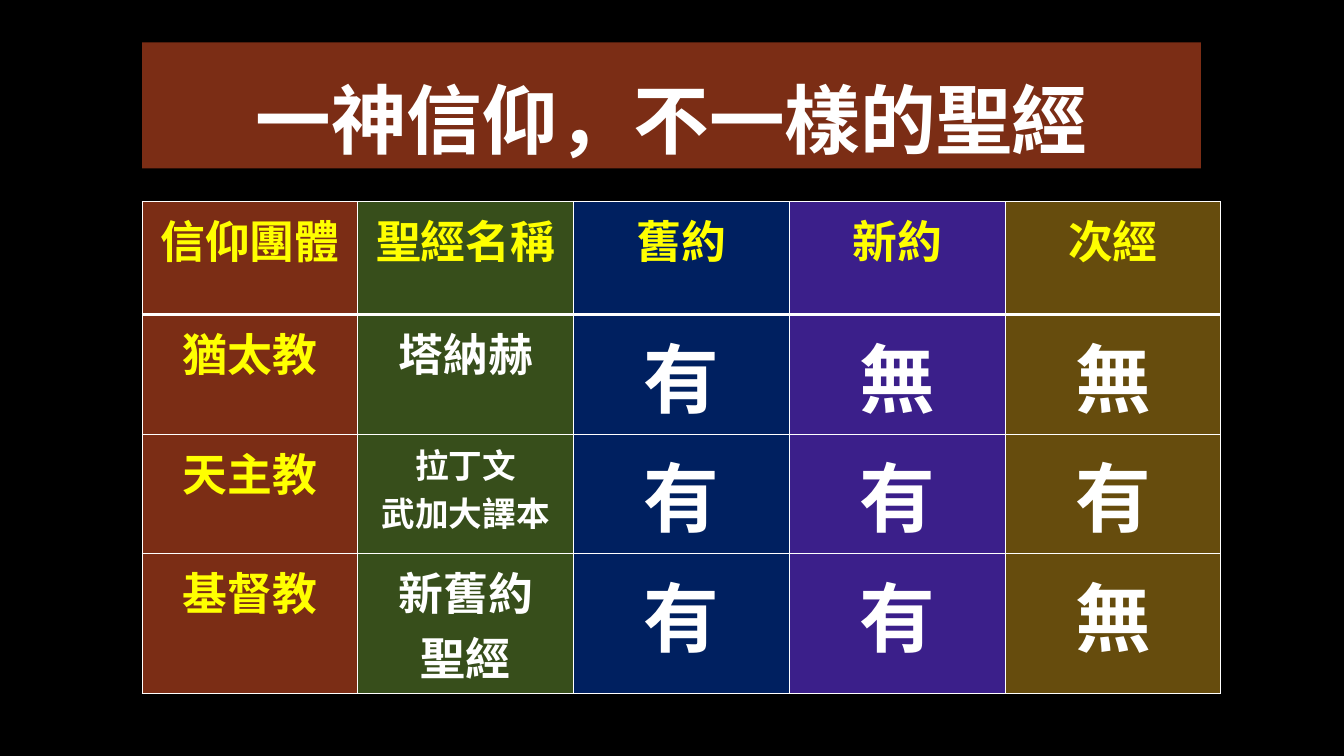
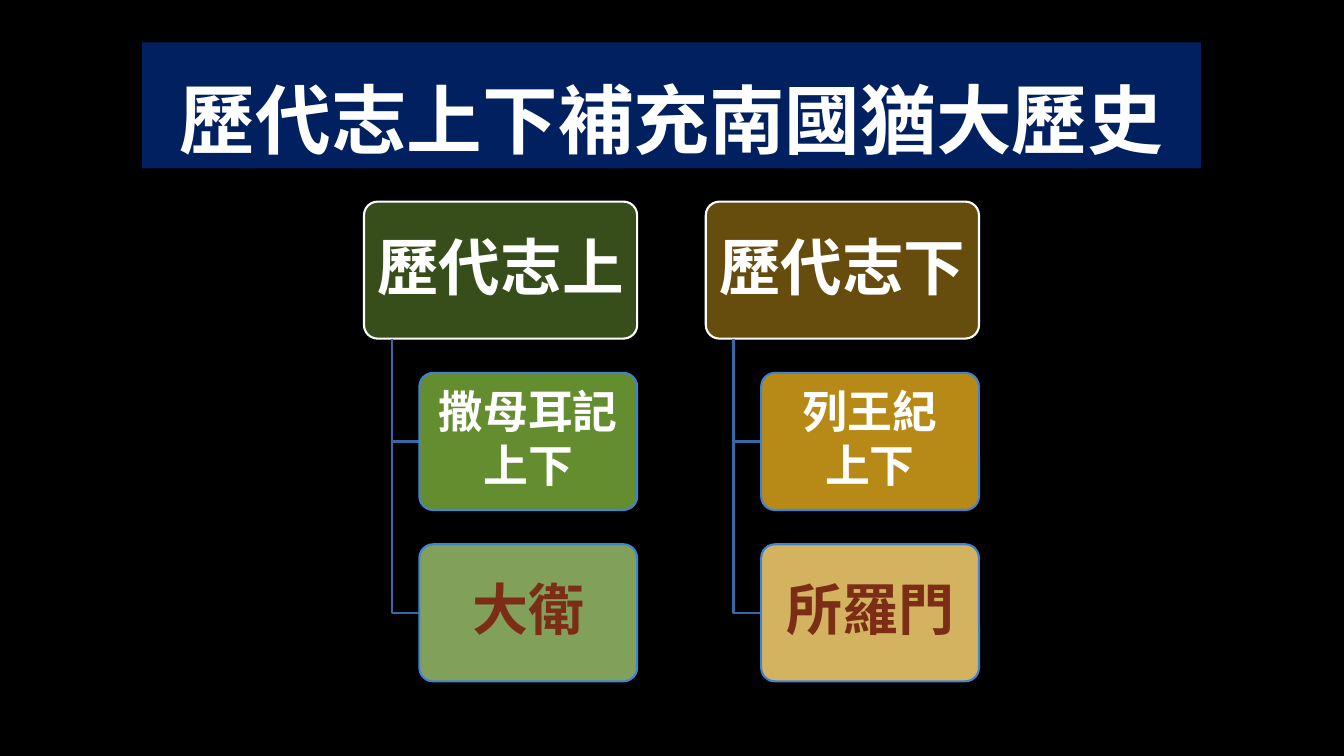
from dataclasses import dataclass

from lxml import etree
from pptx import Presentation
from pptx import util as u
from pptx.dml.color import RGBColor
from pptx.enum import shapes, text
from pptx.oxml import ns


@dataclass(frozen=True)
class Theme:
    black: str = "000000"
    white: str = "FFFFFF"
    yellow: str = "FFFF00"
    rust: str = "7B2D15"
    green: str = "374E1B"
    navy: str = "002060"
    purple: str = "3B1F8A"
    brown: str = "664C0D"
    leaf: str = "6E9D35"
    sage: str = "90B365"
    amber: str = "CB991B"
    sand: str = "EBC76B"
    edge: str = "4283D2"
    elbow: str = "3569A8"
    cjk: str = "Noto Sans CJK TC"
    table_font: str = "Times New Roman"
    box_font: str = "Cambria"
    title: int = 54
    head: int = 44
    name: int = 40
    body: int = 32
    small: int = 24


T = Theme()
rgb = RGBColor.from_string


def write(tf, content, size, color, font, **para):
    tf.text = content
    for p in tf.paragraphs:
        for key, value in {"alignment": text.PP_ALIGN.CENTER, **para}.items():
            setattr(p, key, value)
        for r in p.runs:
            for key, value in {"size": u.Pt(size), "bold": True, "name": font}.items():
                setattr(r.font, key, value)
            r.font.color.rgb = rgb(color)
            etree.SubElement(r._r.get_or_add_rPr(), ns.qn("a:ea"), typeface=T.cjk)


def paint(sp, fill, line, alpha=100):
    sp.shadow.inherit = False
    if fill:
        sp.fill.solid()
        sp.fill.fore_color.rgb = rgb(fill)
        if alpha < 100:
            clr = sp._element.spPr.find(".//" + ns.qn("a:srgbClr"))
            etree.SubElement(clr, ns.qn("a:alpha"), val=str(alpha * 1000))
    else:
        sp.fill.background()
    sp.line.color.rgb = rgb(line)
    sp.line.width = u.Pt(1.5)


prs = Presentation()
prs.slide_width, prs.slide_height = u.Inches(13.33), u.Inches(7.5)
prs.slide_master.background.fill.solid()
prs.slide_master.background.fill.fore_color.rgb = rgb(T.black)

slides = []
for heading, band in (
    ("一神信仰，不一樣的聖經", T.rust),
    ("歷代志上下補充南國猶大歷史", T.navy),
):
    s = prs.slides.add_slide(prs.slide_layouts[5])
    sp = s.shapes.title
    for key, value in {"left": 1.41, "top": 0.42, "width": 10.5, "height": 1.25}.items():
        setattr(sp, key, u.Inches(value))
    sp.fill.solid()
    sp.fill.fore_color.rgb = rgb(band)
    tf = sp.text_frame
    write(tf, heading, T.title, T.white, T.cjk, line_spacing=0.8)
    tf.auto_size = text.MSO_AUTO_SIZE.NONE
    tf.vertical_anchor = text.MSO_ANCHOR.BOTTOM
    slides.append(s)
bible_slide, chronicles_slide = slides

rows = [
    ["信仰團體", "聖經名稱", "舊約", "新約", "次經"],
    ["猶太教", "塔納赫", "有", "無", "無"],
    ["天主教", "拉丁文\n武加大譯本", "有", "有", "有"],
    ["基督教", "新舊約\n聖經", "有", "有", "無"],
]
column_fills = [T.rust, T.green, T.navy, T.purple, T.brown]
col_w, row_h = 2.14, 1.12
table = bible_slide.shapes.add_table(
    len(rows), len(column_fills), u.Inches(1.41), u.Inches(2),
    u.Inches(col_w * len(column_fills)), u.Inches(row_h * len(rows)),
).table
for column in table.columns:
    column.width = u.Inches(col_w)
for i, row in enumerate(rows):
    table.rows[i].height = u.Inches(row_h)
    for j, content in enumerate(row):
        cell = table.cell(i, j)
        if i and j > 1:
            size = T.title
        else:
            size = T.small if content.startswith("拉丁文") else T.body
        color = T.white if i and j else T.yellow
        write(cell.text_frame, content, size, color, T.table_font)
        widths = {"lnL": 1, "lnR": 1, "lnT": 3 if i == 1 else 1, "lnB": 1 if i else 3}
        for side, width in widths.items():
            ln = etree.SubElement(
                cell._tc.get_or_add_tcPr(), ns.qn("a:" + side), w=str(u.Pt(width)))
            solid = etree.SubElement(ln, ns.qn("a:solidFill"))
            etree.SubElement(solid, ns.qn("a:srgbClr"), val=T.white)
        cell.fill.solid()
        cell.fill.fore_color.rgb = rgb(column_fills[j])

box_h, step_y, top = 1.36, 1.7, 2
head_w, indent = 2.71, 0.55
branches = [
    [("歷代志上", T.green), ("撒母耳記\n上下", T.leaf), ("大衛", T.sage)],
    [("歷代志下", T.brown), ("列王紀\n上下", T.amber), ("所羅門", T.sand)],
]
levels = [(T.head, T.white), (T.body, T.white), (T.name, T.rust)]
for b, branch in enumerate(branches):
    left = 3.61 + 3.39 * b
    for i, ((content, fill), (size, color)) in enumerate(zip(branch, levels)):
        x, y = left + (indent if i else 0), top + step_y * i
        if i:
            stem, mid = u.Inches(left + indent / 2), u.Inches(y + box_h / 2)
            path = chronicles_slide.shapes.build_freeform(stem, u.Inches(top + box_h))
            path.add_line_segments([(stem, mid), (u.Inches(x), mid)], close=False)
            paint(path.convert_to_shape(), None, T.elbow)
        sp = chronicles_slide.shapes.add_shape(
            shapes.MSO_SHAPE.ROUNDED_RECTANGLE, u.Inches(x), u.Inches(y),
            u.Inches(left + head_w - x), u.Inches(box_h))
        sp.adjustments[0] = 0.1
        paint(sp, fill, T.edge if i else T.white, 90 if i else 100)
        tf = sp.text_frame
        for key, value in {
            "word_wrap": True, "vertical_anchor": text.MSO_ANCHOR.MIDDLE,
            "margin_left": 0, "margin_right": 0, "margin_top": 0, "margin_bottom": 0,
        }.items():
            setattr(tf, key, value)
        write(tf, content, size, color, T.box_font, line_spacing=0.9, space_after=u.Pt(4))

prs.save("out.pptx")
